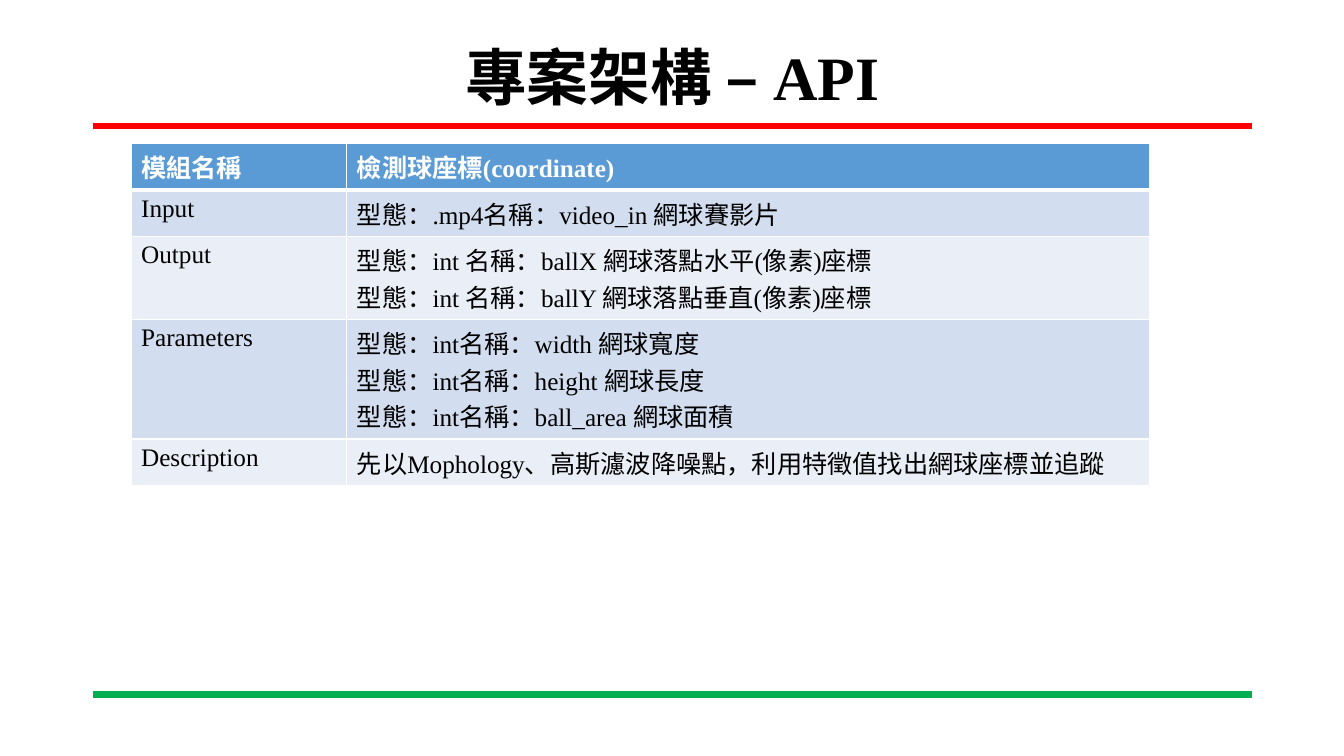
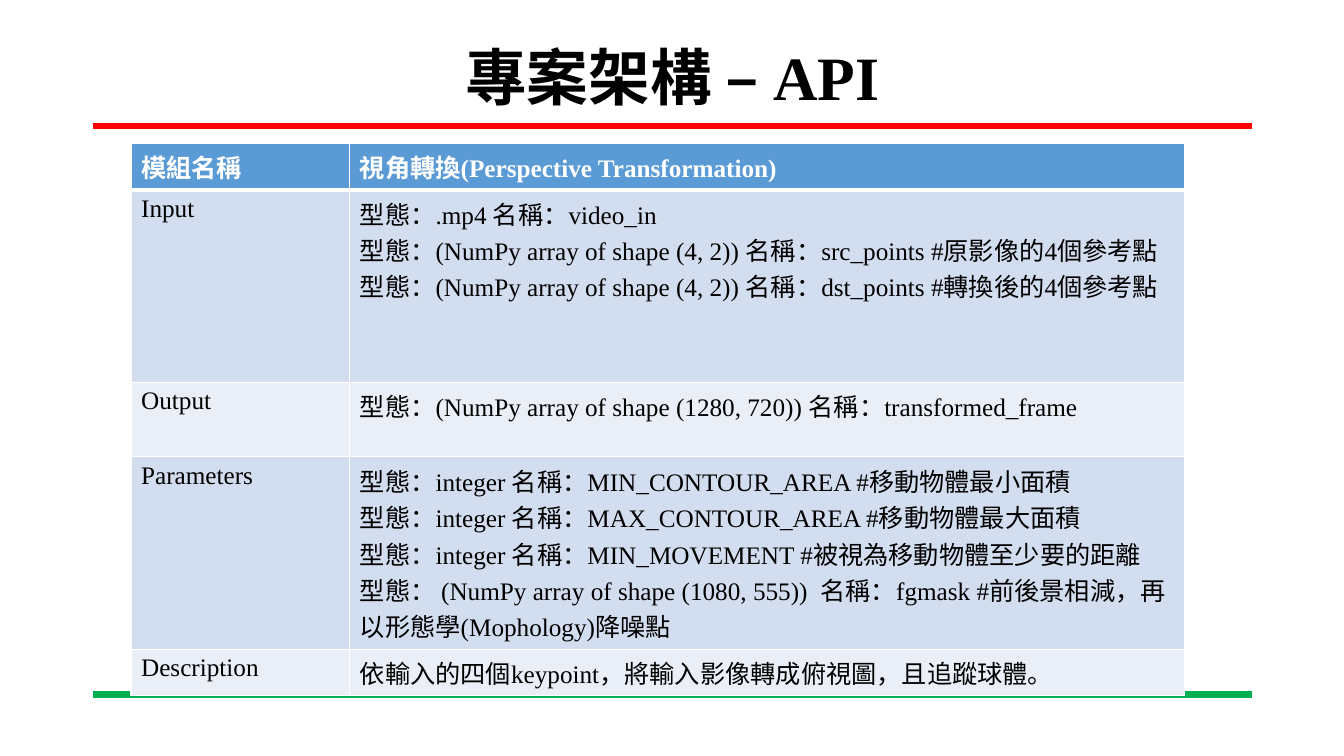
from lxml import etree
from pptx import Presentation
from pptx.dml.color import RGBColor
from pptx.enum.shapes import MSO_CONNECTOR
from pptx.enum.text import MSO_ANCHOR, PP_ALIGN
from pptx.oxml.ns import qn
from pptx.util import Inches, Pt

CENTER, LEFT = PP_ALIGN.CENTER, PP_ALIGN.LEFT
MIDDLE = MSO_ANCHOR.MIDDLE
STRAIGHT = MSO_CONNECTOR.STRAIGHT

BLACK = RGBColor(0x00, 0x00, 0x00)
WHITE = RGBColor(0xFF, 0xFF, 0xFF)
RED = RGBColor(0xFF, 0x00, 0x00)
GREEN = RGBColor(0x00, 0xB0, 0x50)
HEADER_BLUE = RGBColor(0x5B, 0x9B, 0xD5)
BANDS = (RGBColor(0xD2, 0xDE, 0xEF), RGBColor(0xEA, 0xEF, 0xF7))

FONT = "Times New Roman"
MARGIN, CONTENT_WIDTH = 0.92, 11.5
RULES = ((1.25, RED), (6.89, GREEN))
TITLE = "專案架構 – API"
TITLE_BOX = (MARGIN, 0.4, CONTENT_WIDTH, 0.79)
TABLE_LEFT, TABLE_TOP = 1.3, 1.42
HEADER_HEIGHT = 0.45

# Each row: label, paragraphs, height in inches
BALL_DETECTION = {
    "module": "檢測球座標(coordinate)",
    "column_widths": (2.14, 7.96),
    "rows": (
        ("Input", ("型態：.mp4名稱：video_in 網球賽影片",), 0.45),
        ("Output", ("型態：int 名稱：ballX 網球落點水平(像素)座標",
                    "型態：int 名稱：ballY 網球落點垂直(像素)座標"), 0.82),
        ("Parameters", ("型態：int名稱：width 網球寬度",
                        "型態：int名稱：height 網球長度",
                        "型態：int名稱：ball_area 網球面積"), 1.18),
        ("Description",
         ("先以Mophology、高斯濾波降噪點，利用特徵值找出網球座標並追蹤",), 0.45),
    ),
}
PERSPECTIVE = {
    "module": "視角轉換(Perspective Transformation)",
    "column_widths": (2.17, 8.28),
    "rows": (
        ("Input",
         ("型態：.mp4 名稱：video_in",
          "型態：(NumPy array of shape (4, 2)) 名稱：src_points #原影像的4個參考點",
          "型態：(NumPy array of shape (4, 2)) 名稱：dst_points #轉換後的4個參考點"),
         1.9),
        ("Output",
         ("型態：(NumPy array of shape (1280, 720)) 名稱：transformed_frame",), 0.74),
        ("Parameters",
         ("型態：integer 名稱：MIN_CONTOUR_AREA #移動物體最小面積",
          "型態：integer 名稱：MAX_CONTOUR_AREA #移動物體最大面積",
          "型態：integer 名稱：MIN_MOVEMENT #被視為移動物體至少要的距離",
          "型態： (NumPy array of shape (1080, 555))  名稱：fgmask "
          "#前後景相減，再以形態學(Mophology)降噪點"), 1.9),
        ("Description",
         ("依輸入的四個keypoint，將輸入影像轉成俯視圖，且追蹤球體。",), 0.45),
    ),
}


def write_text(frame, *lines, size=18, color=BLACK, bold=False, align=LEFT,
               line_spacing=None):
    for index, line in enumerate(lines):
        paragraph = frame.add_paragraph() if index else frame.paragraphs[0]
        paragraph.alignment = align
        paragraph.line_spacing = line_spacing
        run = paragraph.add_run()
        run.text = line
        run.font.name = FONT
        run.font.size = Pt(size)
        run.font.bold = bold
        run.font.color.rgb = color


def add_layout_rules(layout, slide):
    """Draw the rules on a slide, then move them to its layout to share them."""
    layout_tree = layout.placeholders[0].element.getparent()
    for top, color in RULES:
        rule = slide.shapes.add_connector(
            STRAIGHT, Inches(MARGIN), Inches(top),
            Inches(MARGIN + CONTENT_WIDTH), Inches(top))
        rule.line.color.rgb = color
        rule.line.width = Pt(4.5)
        etree.SubElement(rule.element.spPr, qn("a:effectLst"))
        layout_tree.append(rule.element)


def add_title(slide, text, box):
    title = slide.shapes.title
    title.left, title.top, title.width, title.height = map(Inches, box)
    title.text_frame.vertical_anchor = MIDDLE
    write_text(title.text_frame, text, size=44, bold=True, align=CENTER,
               line_spacing=0.9)


def set_borders(cell, widths):
    """Set white borders; widths maps L, R, T or B to points."""
    properties = cell._tc.get_or_add_tcPr()
    for side in "LRTB":
        if side in widths:
            border = etree.SubElement(properties, qn(f"a:ln{side}"),
                                      w=str(Pt(widths[side])))
            fill = etree.SubElement(border, qn("a:solidFill"))
            etree.SubElement(fill, qn("a:srgbClr"), val=str(WHITE))


def fill_cell(cell, lines, fill, borders, **text_format):
    set_borders(cell, borders)
    cell.fill.solid()
    cell.fill.fore_color.rgb = fill
    write_text(cell.text_frame, *lines, **text_format)


def add_api_table(slide, left, top, module, column_widths, rows):
    heights = [HEADER_HEIGHT] + [height for _, _, height in rows]
    table = slide.shapes.add_table(
        len(heights), len(column_widths), Inches(left), Inches(top),
        Inches(sum(column_widths)), Inches(sum(heights))).table
    for column, width in zip(table.columns, column_widths):
        column.width = Inches(width)
    for row, height in zip(table.rows, heights):
        row.height = Inches(height)

    for column, text in enumerate(("模組名稱", module)):
        fill_cell(table.cell(0, column), (text,), HEADER_BLUE,
                  {"L": 1, "R": 1, "T": 1, "B": 3}, color=WHITE, bold=True)
    for index, (label, lines, _) in enumerate(rows):
        for column, content in enumerate(((label,), lines)):
            fill_cell(table.cell(index + 1, column), content,
                      BANDS[index % len(BANDS)], {"L": 1, "R": 1, "B": 1})


def main():
    presentation = Presentation()
    presentation.slide_width = Inches(13.33)
    presentation.slide_height = Inches(7.5)
    layout = presentation.slide_layouts.get_by_name("Title Only")
    for index, api in enumerate((BALL_DETECTION, PERSPECTIVE)):
        slide = presentation.slides.add_slide(layout)
        if index == 0:
            add_layout_rules(layout, slide)
        add_title(slide, TITLE, TITLE_BOX)
        add_api_table(slide, TABLE_LEFT, TABLE_TOP, **api)
    presentation.save("out.pptx")


if __name__ == "__main__":
    main()
